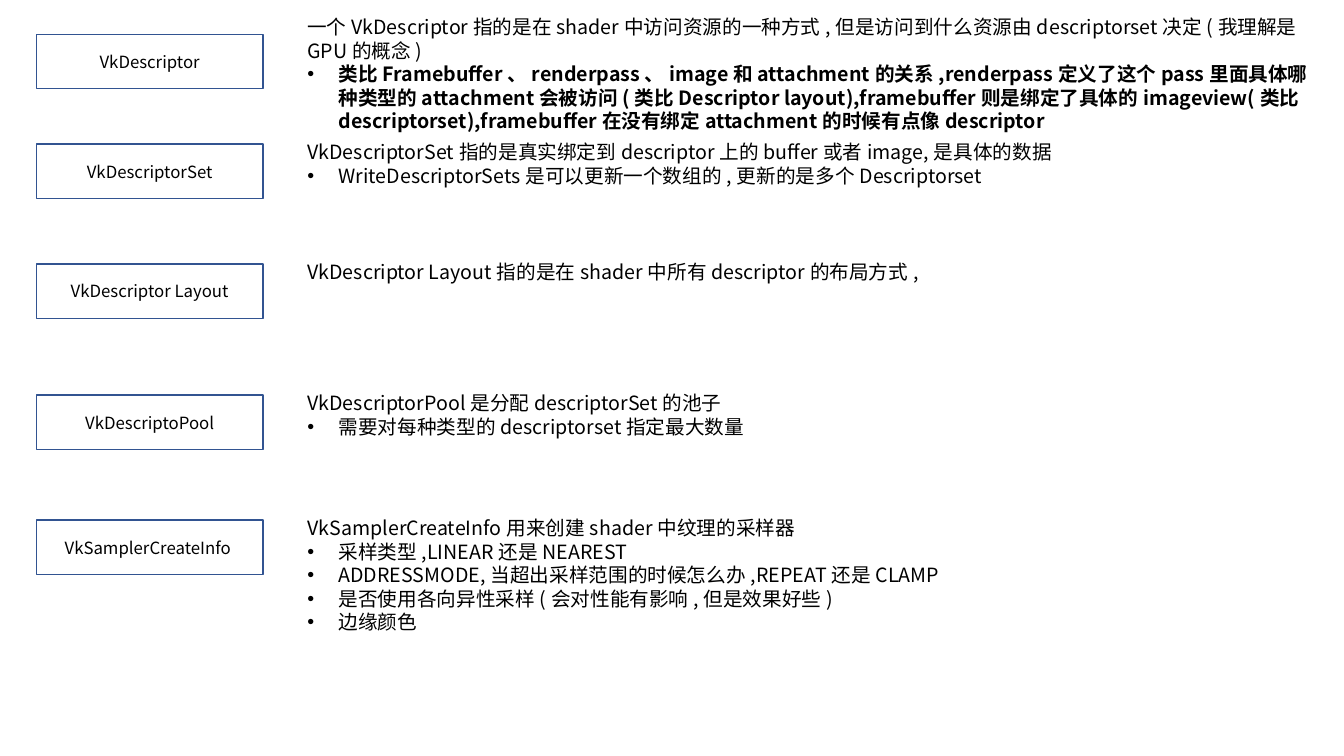
"""Build a slide that explains the Vulkan descriptor objects."""
from dataclasses import dataclass

from lxml import etree
from pptx import Presentation
from pptx.dml.color import RGBColor
from pptx.enum.shapes import MSO_SHAPE
from pptx.enum.text import MSO_ANCHOR, MSO_AUTO_SIZE, PP_ALIGN
from pptx.oxml.ns import qn
from pptx.util import Inches, Pt

RECTANGLE = MSO_SHAPE.RECTANGLE
MIDDLE = MSO_ANCHOR.MIDDLE
FIT_SHAPE = MSO_AUTO_SIZE.SHAPE_TO_FIT_TEXT
LEFT, CENTER = PP_ALIGN.LEFT, PP_ALIGN.CENTER
BLANK_LAYOUT = 6


@dataclass(frozen=True)
class Theme:
    font: str = "Noto Sans CJK SC"
    ink: RGBColor = RGBColor(0, 0, 0)
    outline: RGBColor = RGBColor(0x32, 0x54, 0x91)
    label_size: Pt = Pt(12)
    note_size: Pt = Pt(14)


@dataclass(frozen=True)
class Term:
    label: str
    label_top: float
    note_top: float
    note_height: float
    summary: str
    bullets: tuple = ()
    bold: bool = False


class DescriptorPage:
    def __init__(self, page, theme):
        self.page = page
        self.theme = theme

    def style(self, para, size, align=LEFT, bold=False):
        para.alignment = align
        font = para.font
        font.name, font.size, font.bold = self.theme.font, size, bold
        font.color.rgb = self.theme.ink
        properties = para._p.get_or_add_pPr().find(qn("a:defRPr"))
        etree.SubElement(properties, qn("a:ea"), typeface=self.theme.font)

    def bullet(self, para):
        properties = para._p.get_or_add_pPr()
        properties.set("marL", str(Inches(0.31)))
        properties.set("indent", str(Inches(-0.31)))
        font = etree.Element(qn("a:buFont"), typeface="Arial")
        mark = etree.Element(qn("a:buChar"), char="•")
        properties.insert(0, font)
        font.addnext(mark)

    def label(self, text, top):
        box = self.page.shapes.add_shape(
            RECTANGLE, Inches(0.36), Inches(top), Inches(2.25), Inches(0.54))
        box.shadow.inherit = False
        box.fill.background()
        box.line.color.rgb = self.theme.outline
        box.line.width = Pt(1)
        box.text_frame.vertical_anchor = MIDDLE
        box.text_frame.text = text
        self.style(box.text_frame.paragraphs[0], self.theme.label_size, CENTER)

    def note(self, term):
        box = self.page.shapes.add_textbox(
            Inches(2.95), Inches(term.note_top), Inches(10.26), Inches(term.note_height))
        frame = box.text_frame
        frame.word_wrap = True
        frame.auto_size = FIT_SHAPE
        frame.text = term.summary
        self.style(frame.paragraphs[0], self.theme.note_size)
        for text in term.bullets:
            para = frame.add_paragraph()
            para.text = text
            self.style(para, self.theme.note_size, bold=term.bold)
            self.bullet(para)


TERMS = [
    Term("VkDescriptor", 0.34, 0.1, 1.28,
         "一个VkDescriptor指的是在shader中访问资源的一种方式,但是访问到什么资源由"
         "descriptorset决定(我理解是GPU的概念)".replace("(", "(").replace(")", ")"),
         ("类比Framebuffer、renderpass、image和attachment的关系,renderpass定义了这个pass"
          "里面具体哪种类型的attachment会被访问(类比Descriptor layout),framebuffer则是"
          "绑定了具体的imageview(类比descriptorset),framebuffer在没有绑定attachment的"
          "时候有点像descriptor",), bold=True),
    Term("VkDescriptorSet", 1.43, 1.34, 0.57,
         "VkDescriptorSet指的是真实绑定到descriptor上的buffer或者image,是具体的数据",
         ("WriteDescriptorSets是可以更新一个数组的,更新的是多个Descriptorset",)),
    Term("VkDescriptor Layout", 2.62, 2.53, 0.34,
         "VkDescriptor Layout指的是在shader中所有descriptor的布局方式,"),
    Term("VkDescriptoPool", 3.92, 3.83, 0.57,
         "VkDescriptorPool是分配descriptorSet的池子",
         ("需要对每种类型的descriptorset指定最大数量",)),
    Term("VkSamplerCreateInfo ", 5.16, 5.07, 1.28,
         "VkSamplerCreateInfo用来创建shader中纹理的采样器",
         ("采样类型,LINEAR还是NEAREST",
          "ADDRESSMODE,当超出采样范围的时候怎么办,REPEAT还是CLAMP",
          "是否使用各向异性采样(会对性能有影响,但是效果好些)",
          "边缘颜色")),
]

deck = Presentation()
deck.slide_width, deck.slide_height = Inches(13.33), Inches(7.5)
slide = deck.slides.add_slide(deck.slide_layouts[BLANK_LAYOUT])
descriptors = DescriptorPage(slide, Theme())
for entry in TERMS:
    descriptors.label(entry.label, entry.label_top)
    descriptors.note(entry)
deck.save("out.pptx")
